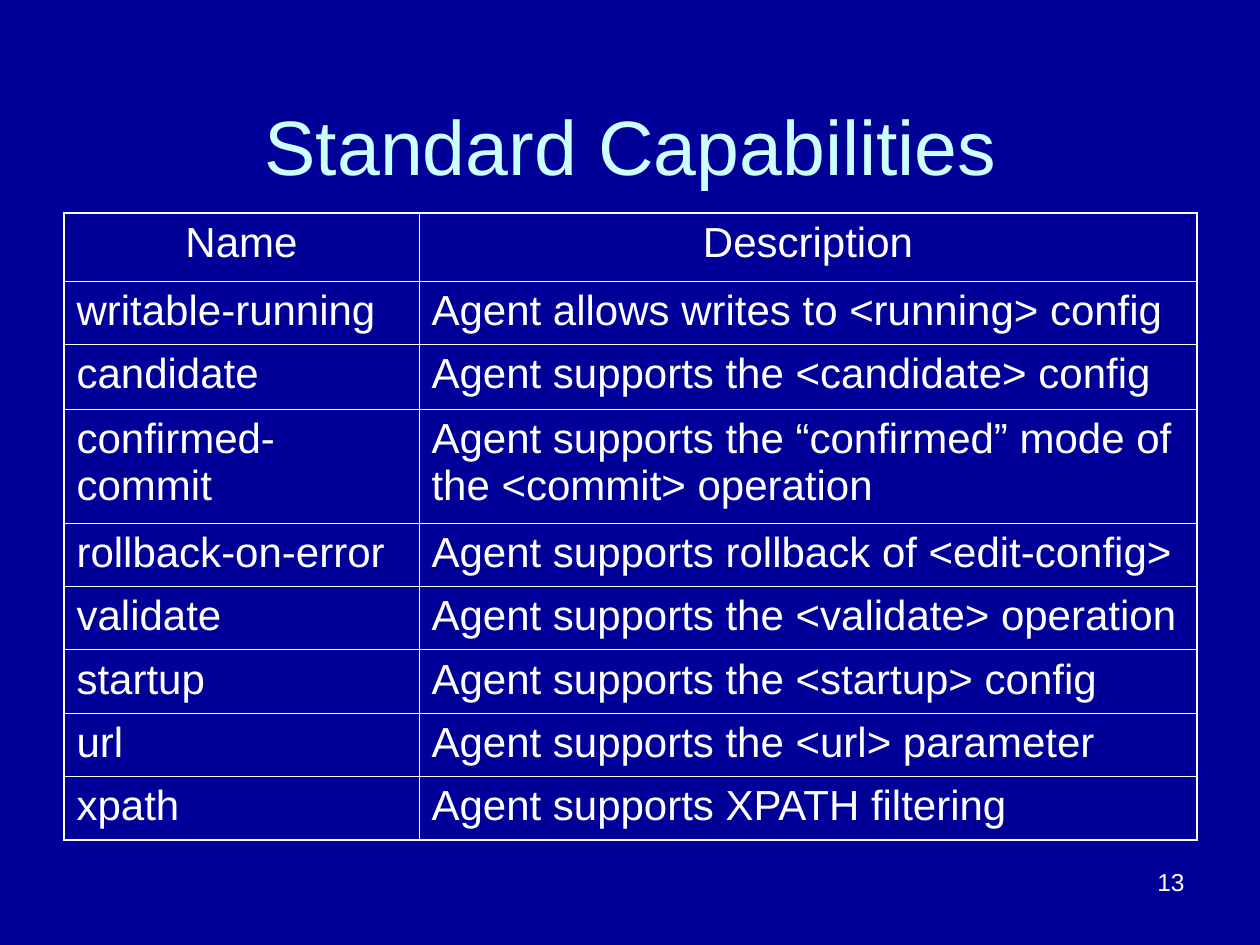
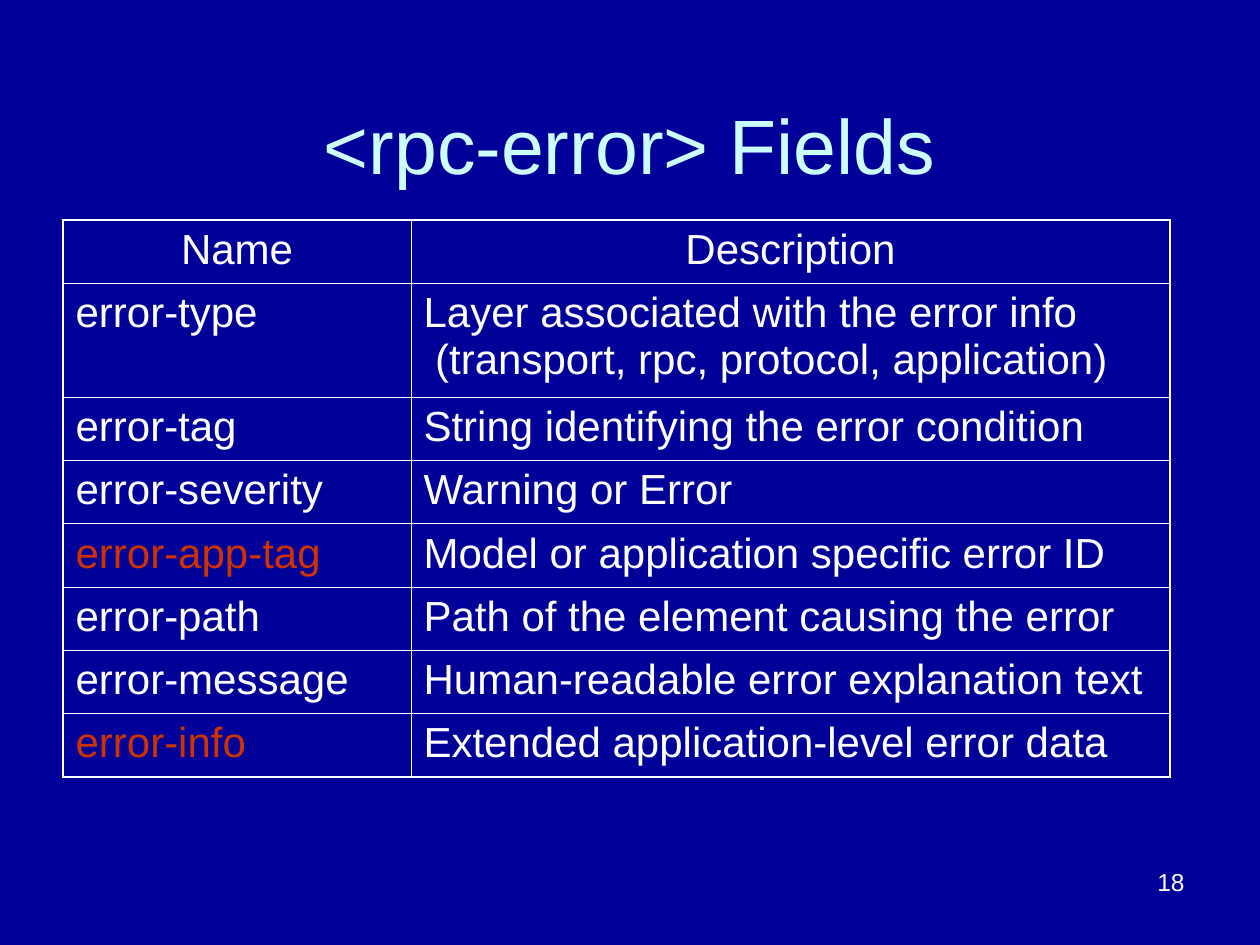
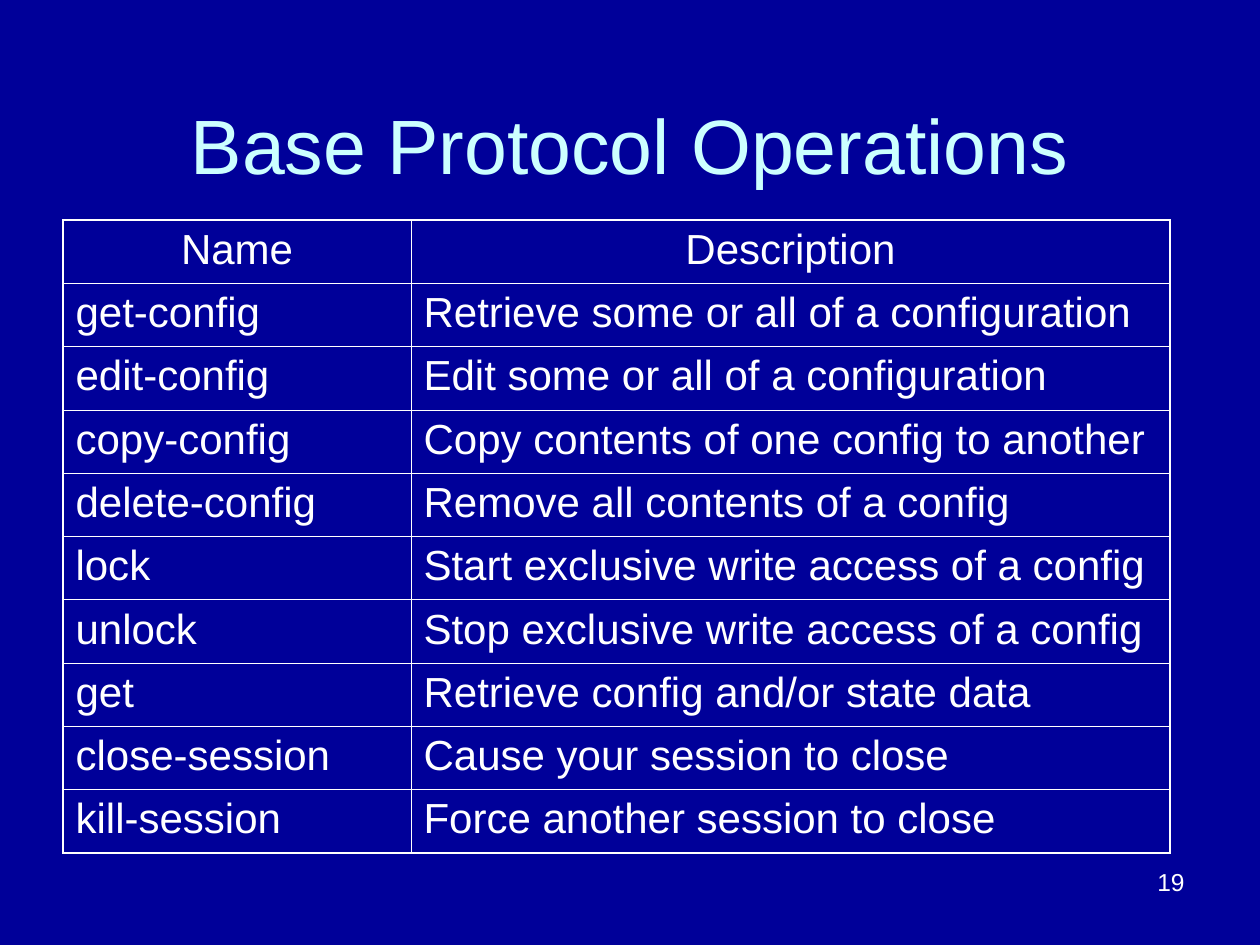
from lxml.etree import SubElement
from pptx import Presentation
from pptx.dml.color import RGBColor
from pptx.enum.text import MSO_ANCHOR as ANCHOR, PP_ALIGN as ALIGN
from pptx.oxml.ns import qn
from pptx.util import Emu, Pt

# Style
NAVY = RGBColor(0x00, 0x00, 0x99)
ICE = RGBColor(0xCC, 0xFF, 0xFF)
WHITE = RGBColor(0xFF, 0xFF, 0xFF)
RED = RGBColor(0xCC, 0x33, 0x00)
FONT = "Arial"
THIN, THICK = Pt(0.45), Pt(1.08)
HEADER = ("Name", "Description")


def px(n):
    return Emu(round(n * 914400 / 126))


class Deck:
    def __init__(self):
        self.prs = Presentation()
        self.prs.slide_width, self.prs.slide_height = px(1260), px(945)
        self.s = None

    def slide(self):
        self.s = self.prs.slides.add_slide(self.prs.slide_layouts[6])
        fill = self.s.background.fill
        fill.solid()
        fill.fore_color.rgb = NAVY

    def set_text(self, tf, text, size, color, align=ALIGN.LEFT):
        p = tf.paragraphs[0]
        p.text = text
        p.alignment = align
        fmt = {"name": FONT, "size": Pt(size), "bold": False}
        for r in p.runs:
            for key, value in fmt.items():
                setattr(r.font, key, value)
            r.font.color.rgb = color

    def text(self, box, text, size, color, align, anchor=ANCHOR.TOP):
        tf = self.s.shapes.add_textbox(*map(px, box)).text_frame
        tf.word_wrap = True
        tf.vertical_anchor = anchor
        self.set_text(tf, text, size, color, align)

    def title(self, x, y, text):
        self.text((x, y, 1134, 158), text, 44, ICE, ALIGN.CENTER, ANCHOR.BOTTOM)

    def page_number(self, number):
        self.text((903, 861, 294, 65), str(number), 14, WHITE, ALIGN.RIGHT)

    def borders(self, cell, widths):
        tc_pr = cell._tc.get_or_add_tcPr()
        for side, width in widths.items():
            ln = SubElement(tc_pr, qn(f"a:ln{side}"), w=str(int(width)))
            fill = SubElement(ln, qn("a:solidFill"))
            SubElement(fill, qn("a:srgbClr"), val=str(WHITE))

    def table(self, x, y, cols, height, entries, tall=None, red=()):
        """Rows listed in tall have their own height; the others share the rest."""
        tall = tall or {}
        rows = [HEADER, *entries]
        last = len(rows) - 1
        shared = (height - sum(tall.values())) / (len(rows) - len(tall))
        tbl = self.s.shapes.add_table(len(rows), len(cols), px(x), px(y),
                                      px(sum(cols)), px(height)).table
        tbl.first_row = tbl.horz_banding = False
        for col, width in zip(tbl.columns, cols):
            col.width = px(width)
        for i, row in enumerate(rows):
            tbl.rows[i].height = px(tall.get(i, shared))
            for j, text in enumerate(row):
                cell = tbl.cell(i, j)
                self.set_text(cell.text_frame, text, 24,
                              RED if text in red else WHITE,
                              ALIGN.LEFT if i else ALIGN.CENTER)
                self.borders(cell, {
                    "L": THIN if j else THICK,
                    "R": THICK if j == len(cols) - 1 else THIN,
                    "T": THIN if i else THICK,
                    "B": THICK if i == last else THIN,
                })
                cell.fill.background()


def main():
    deck = Deck()

    # Standard capabilities
    deck.slide()
    deck.title(64, 39, "Standard Capabilities")
    deck.table(64, 213, (355, 778), 627, [
        ("writable-running", "Agent allows writes to <running> config"),
        ("candidate", "Agent supports the <candidate> config"),
        ("confirmed-commit",
         "Agent supports the “confirmed” mode of the <commit> operation"),
        ("rollback-on-error", "Agent supports rollback of <edit-config>"),
        ("validate", "Agent supports the <validate> operation"),
        ("startup", "Agent supports the <startup> config"),
        ("url", "Agent supports the <url> parameter"),
        ("xpath", "Agent supports XPATH filtering"),
    ], tall={0: 68, 2: 65, 3: 114})
    deck.page_number(13)

    # Error fields
    deck.slide()
    deck.title(63, 38, "<rpc-error> Fields")
    deck.table(63, 220, (348, 759), 557, [
        ("error-type",
         "Layer associated with the error info\v (transport, rpc, protocol, application)"),
        ("error-tag", "String identifying the error condition"),
        ("error-severity", "Warning or Error"),
        ("error-app-tag", "Model or application specific error ID"),
        ("error-path", "Path of the element causing the error"),
        ("error-message", "Human-readable error explanation text"),
        ("error-info", "Extended application-level error data"),
    ], tall={1: 114}, red=("error-app-tag", "error-info"))
    deck.page_number(18)

    # Protocol operations
    deck.slide()
    deck.title(63, 38, "Base Protocol Operations")
    deck.table(63, 220, (348, 759), 633, [
        ("get-config", "Retrieve some or all of a configuration"),
        ("edit-config", "Edit some or all of a configuration"),
        ("copy-config", "Copy contents of one config to another"),
        ("delete-config", "Remove all contents of a config"),
        ("lock", "Start exclusive write access of a config"),
        ("unlock", "Stop exclusive write access of a config"),
        ("get", "Retrieve config and/or state data"),
        ("close-session", "Cause your session to close"),
        ("kill-session", "Force another session to close"),
    ])
    deck.page_number(19)

    deck.prs.save("out.pptx")


if __name__ == "__main__":
    main()
